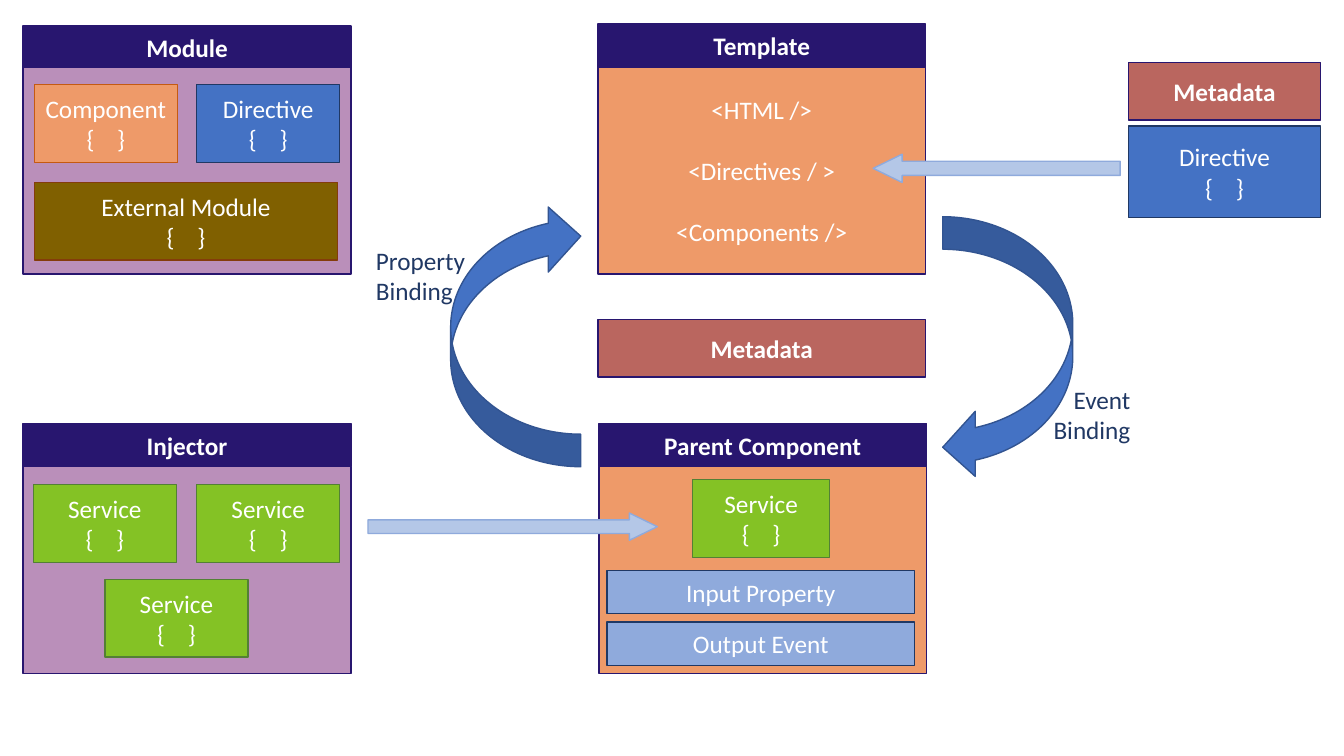
from pptx import Presentation
from pptx.dml.color import RGBColor
from pptx.enum.shapes import MSO_SHAPE
from pptx.enum.text import MSO_ANCHOR, MSO_AUTO_SIZE, PP_ALIGN
from pptx.util import Inches, Pt

WHITE = RGBColor(0xFF, 0xFF, 0xFF)
INDIGO = RGBColor(0x28, 0x16, 0x6F)
MAUVE = RGBColor(0xBA, 0x8F, 0xBA)
ORANGE = RGBColor(0xEE, 0x9A, 0x69)
RUST = RGBColor(0xC5, 0x5A, 0x11)
GREEN = RGBColor(0x84, 0xC2, 0x25)
DARK_GREEN = RGBColor(0x53, 0x80, 0x35)
BLUE = RGBColor(0x44, 0x72, 0xC4)
EDGE_BLUE = RGBColor(0x32, 0x54, 0x91)
NAVY = RGBColor(0x20, 0x38, 0x64)
SKY = RGBColor(0x8F, 0xAA, 0xDC)
PALE_BLUE = RGBColor(0xB4, 0xC7, 0xE7)
OLIVE = RGBColor(0x80, 0x60, 0x00)
BROWN = RGBColor(0x84, 0x3C, 0x0B)
BRICK = RGBColor(0xBA, 0x66, 0x5F)

CELL = 0.1  # inches per grid column and row
BRACES = "{    }"
PANEL_WIDTH, HEADER_HEIGHT, BODY_HEIGHT = 32.5, 4.3, 20.5
BLOCK_WIDTH, BLOCK_HEIGHT = 14.2, 7.7


class Diagram:
    """Holds the text style and the current page; lengths are grid cells."""

    text_format = {"name": "Calibri", "size": Pt(18)}

    def __init__(self, page):
        self.page = page

    def place(self, *cells):
        return [Inches(cell * CELL) for cell in cells]

    def add_lines(self, box, lines, color, bold=None, align=PP_ALIGN.CENTER, gap=0):
        frame = box.text_frame
        frame.word_wrap = True
        for index, line in enumerate(lines):
            para = frame.paragraphs[0] if index == 0 else frame.add_paragraph()
            para.alignment = align
            if index and gap:
                para.space_before = Pt(gap)
            span = para.add_run()
            span.text = line
            for name, value in {**self.text_format, "bold": bold}.items():
                setattr(span.font, name, value)
            span.font.color.rgb = color

    def shape(self, kind, area, fill, edge, turn=0, adjust=()):
        shape = self.page.shapes.add_shape(kind, *self.place(*area))
        shape.shadow.inherit = False
        shape.fill.solid()
        shape.fill.fore_color.rgb = fill
        shape.line.color.rgb = edge
        shape.line.width = Pt(1)
        shape.rotation = turn
        for index, value in enumerate(adjust):
            shape.adjustments[index] = value
        return shape

    def block(self, area, fill, edge, *lines, bold=None, gap=0):
        box = self.shape(MSO_SHAPE.RECTANGLE, area, fill, edge)
        box.text_frame.vertical_anchor = MSO_ANCHOR.MIDDLE
        self.add_lines(box, lines, WHITE, bold=bold, gap=gap)

    def panel(self, left, top, body_top, title, fill, *lines):
        self.block((left, top, PANEL_WIDTH, HEADER_HEIGHT), INDIGO, INDIGO,
                   title, bold=True)
        self.block((left, body_top, PANEL_WIDTH, BODY_HEIGHT), fill, INDIGO,
                   *lines, gap=22)

    def service(self, left, top, width=BLOCK_WIDTH):
        self.block((left, top, width, BLOCK_HEIGHT), GREEN, DARK_GREEN,
                   "Service", BRACES)

    def metadata(self, left, top, width):
        self.block((left, top, width, 5.7), BRICK, INDIGO, "Metadata", bold=True)

    def straight_arrow(self, area, turn=0):
        self.shape(MSO_SHAPE.RIGHT_ARROW, area, PALE_BLUE, SKY, turn, (0.5, 1.025))

    def curved_arrow(self, left, top, turn=0):
        self.shape(MSO_SHAPE.CURVED_LEFT_ARROW, (left, top, 12.9, 26.1),
                   BLUE, EDGE_BLUE, turn)

    def label(self, left, top, align, *lines):
        box = self.page.shapes.add_textbox(*self.place(left, top, 13.5, 7.1))
        box.text_frame.auto_size = MSO_AUTO_SIZE.SHAPE_TO_FIT_TEXT
        self.add_lines(box, lines, NAVY, align=align)


def main():
    deck = Presentation()
    deck.slide_width, deck.slide_height = Inches(13.33), Inches(7.5)
    diagram = Diagram(deck.slides.add_slide(deck.slide_layouts[6]))

    # Injector and its services
    diagram.panel(2.3, 42, 46.3, "Injector", MAUVE)
    for left, top in ((3.3, 48.1), (19.5, 48.1), (10.4, 57.5)):
        diagram.service(left, top)

    # Parent component
    diagram.panel(59.4, 42, 46.3, "Parent Component", ORANGE)
    diagram.service(68.7, 47.6, width=13.6)
    for row, name in enumerate(("Input Property", "Output Event")):
        diagram.block((60.2, 56.6 + 5.1 * row, 30.5, 4.3), SKY, NAVY, name)

    # Module and its parts
    diagram.panel(2.3, 2.6, 6.7, "Module", MAUVE)
    for left, top, width, fill, edge, name in (
        (3.4, 8.4, BLOCK_WIDTH, ORANGE, RUST, "Component"),
        (19.5, 8.4, BLOCK_WIDTH, BLUE, NAVY, "Directive"),
        (3.4, 18.1, 30.1, OLIVE, BROWN, "External Module"),
    ):
        diagram.block((left, top, width, BLOCK_HEIGHT), fill, edge, name, BRACES)

    # Template with its metadata
    diagram.panel(59.3, 2.4, 6.7, "Template", ORANGE,
                  "<HTML />", "<Directives / >", "<Components />")
    diagram.metadata(59.3, 31.7, PANEL_WIDTH)

    # Directive with its metadata
    diagram.block((111.9, 12.5, 19.1, 9.1), BLUE, NAVY, "Directive", BRACES)
    diagram.metadata(111.9, 6.2, 19.1)

    # Arrows into the parent component and the template
    diagram.straight_arrow((36.5, 50.9, 28.7, 2.7))
    diagram.straight_arrow((86.6, 15.3, 24.5, 2.8), turn=180)

    # Binding loop
    diagram.curved_arrow(44.7, 20.2, turn=180)
    diagram.curved_arrow(93.5, 21.5)
    diagram.label(36.3, 23.8, PP_ALIGN.LEFT, "Property", "Binding")
    diagram.label(99.6, 37.6, PP_ALIGN.RIGHT, "Event", "Binding")

    deck.save("out.pptx")


if __name__ == "__main__":
    main()
